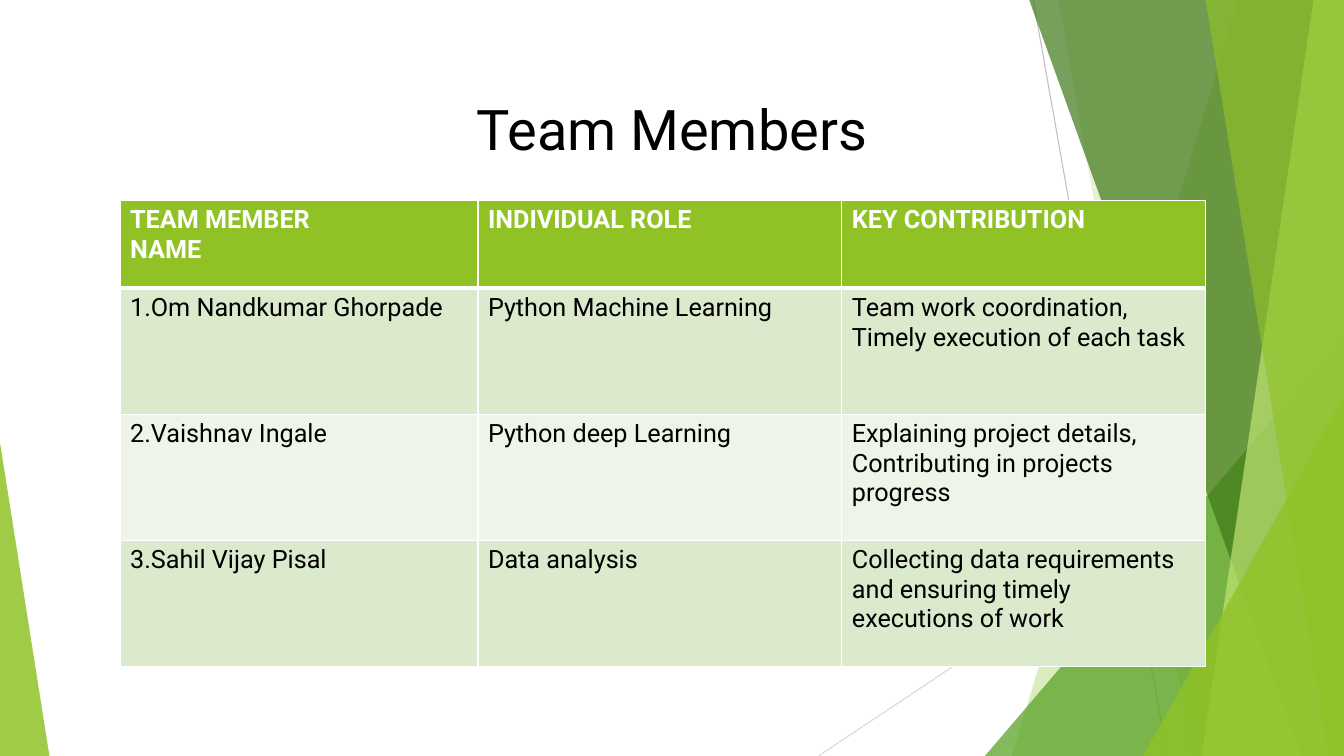
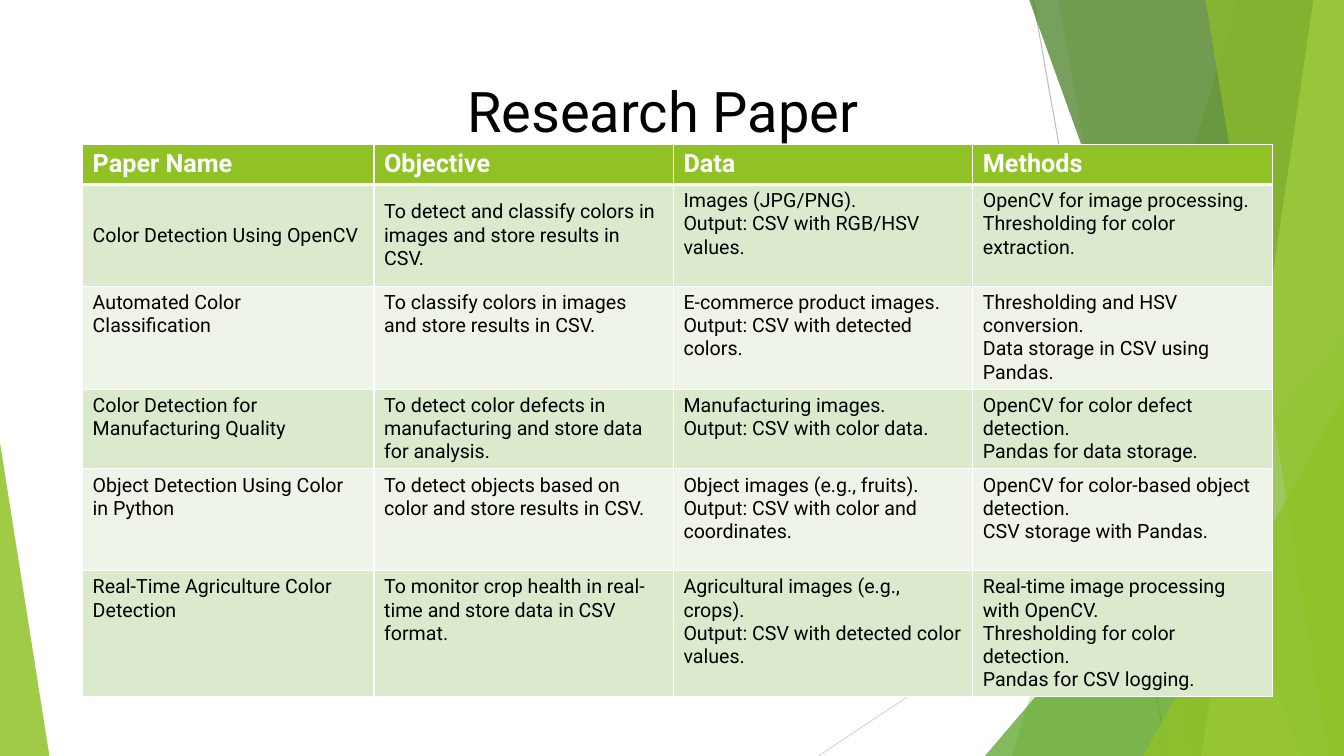
"""Builds two table slides on a shared backdrop of green facets."""
from lxml.etree import SubElement
from pptx import Presentation
from pptx.dml.color import RGBColor
from pptx.enum.shapes import MSO_CONNECTOR, MSO_SHAPE
from pptx.enum.text import MSO_ANCHOR, MSO_AUTO_SIZE, PP_ALIGN
from pptx.oxml.ns import qn
from pptx.util import Inches, Pt

FONT = "Roboto"
WHITE, BLACK = "FFFFFF", "000000"
LIME, GREEN, FOREST, PALE = "90C226", "54A021", "3F7819", "C0E474"
BANDS = ("EEF4E8", "DBE9CD")


def color(code):
    """Turn a hex string into a colour."""
    return RGBColor.from_string(code)


class Deck:
    """Holds the style and the current slide; lengths are percent of the slide."""

    def __init__(self):
        """Set the slide size and strip the layout down to its title."""
        self.presentation = Presentation()
        self.presentation.slide_width = Inches(13.33)
        self.presentation.slide_height = Inches(7.5)
        self.layout = self.presentation.slide_layouts[5]
        for placeholder in list(self.layout.placeholders):
            if placeholder.placeholder_format.idx:
                placeholder.element.getparent().remove(placeholder.element)
        self.slide = None

    def x(self, share):
        """Convert a share of the width."""
        return round(self.presentation.slide_width * share / 100)

    def y(self, share):
        """Convert a share of the height."""
        return round(self.presentation.slide_height * share / 100)

    def open_slide(self, title, left, top, width):
        """Add a slide with a centred title."""
        first = self.slide is None
        self.slide = self.presentation.slides.add_slide(self.layout)
        if first:
            self.backdrop()
        heading = self.slide.shapes.title
        heading.left, heading.top = self.x(left), self.y(top)
        heading.width, heading.height = self.x(width), self.y(10.27)
        frame = heading.text_frame
        frame.word_wrap = True
        frame.auto_size = MSO_AUTO_SIZE.NONE
        frame.vertical_anchor = MSO_ANCHOR.TOP
        frame.paragraphs[0].alignment = PP_ALIGN.CENTER
        self.run(frame.paragraphs[0], title, 40, BLACK)

    def backdrop(self):
        """Draw the facets and move them to the layout."""
        self.hairline((76.88, 0), (86.85, 100), "BFBFBF")
        self.hairline((100, 53.73), (60.9, 100), "D9D9D9")
        self.facet(92.1, 75.3, LIME, 30)
        self.facet(78.75, 88.73, LIME, 20)
        self.corner(73.28, 44.4, 26.72, 1, GREEN, 72)
        self.facet(76.58, 96.83, FOREST, 70)
        self.facet(97.73, 89.4, PALE, 70)
        self.facet(89.7, 98.85, LIME, 65)
        self.corner(85.05, 52.4, 14.95, 1, LIME, 80)
        self.corner(0, 58.53, 3.68, 0, LIME, 85)
        for shape in list(self.slide.shapes):
            if not shape.is_placeholder:
                self.layout.shapes.element.append(shape.element)

    def hairline(self, start, end, code):
        """Draw a thin straight line."""
        line = self.slide.shapes.add_connector(
            MSO_CONNECTOR.STRAIGHT, self.x(start[0]), self.y(start[1]),
            self.x(end[0]), self.y(end[1]))
        line.line.color.rgb = color(code)
        line.line.width = Pt(0.75)
        SubElement(line.element.spPr, qn("a:effectLst"))

    def facet(self, upper, lower, code, opacity):
        """Fill from a slanted edge to the right side of the slide."""
        outline = self.slide.shapes.build_freeform(self.x(upper), 0)
        outline.add_line_segments(
            [(self.x(100), 0), (self.x(100), self.y(100)),
             (self.x(lower), self.y(100))])
        self.tint(outline.convert_to_shape(), code, opacity)

    def corner(self, left, top, width, apex, code, opacity):
        """Draw a triangle standing on the bottom edge."""
        triangle = self.slide.shapes.add_shape(
            MSO_SHAPE.ISOSCELES_TRIANGLE, self.x(left), self.y(top),
            self.x(width), self.y(100 - top))
        triangle.adjustments[0] = apex
        self.tint(triangle, code, opacity)

    def tint(self, shape, code, opacity):
        """Give a shape a translucent fill without line or shadow."""
        shape.shadow.inherit = False
        shape.line.fill.background()
        shape.fill.solid()
        shape.fill.fore_color.rgb = color(code)
        tone = shape.element.spPr.find(".//" + qn("a:srgbClr"))
        SubElement(tone, qn("a:alpha"), val=str(opacity * 1000))

    def run(self, paragraph, text, size, code, bold=False):
        """Add one formatted run."""
        run = paragraph.add_run()
        run.text = text
        run.font.name = FONT
        run.font.size = Pt(size)
        run.font.bold = bold
        run.font.color.rgb = color(code)

    def table(self, left, top, columns, heights, rows, size, middle=()):
        """Add a banded table with a header row."""
        table = self.slide.shapes.add_table(
            len(rows), len(columns), self.x(left), self.y(top),
            self.x(sum(columns)), self.y(sum(heights))).table
        table.horz_banding = False
        for column, width in zip(table.columns, columns):
            column.width = self.x(width)
        for row, height in zip(table.rows, heights):
            row.height = self.y(height)
        for r, texts in enumerate(rows):
            for c, text in enumerate(texts):
                cell = table.cell(r, c)
                if (r, c) in middle:
                    cell.vertical_anchor = MSO_ANCHOR.MIDDLE
                self.borders(cell, r)
                cell.fill.solid()
                cell.fill.fore_color.rgb = color(BANDS[r % 2] if r else LIME)
                self.cell_text(cell.text_frame, text, size, r == 0)

    def cell_text(self, frame, text, size, header):
        """Write each line of a cell as a paragraph."""
        for i, line in enumerate(text.split("\n")):
            paragraph = frame.add_paragraph() if i else frame.paragraphs[0]
            if header:
                self.run(paragraph, line, 18, WHITE, True)
            else:
                self.run(paragraph, line, size, BLACK)

    def borders(self, cell, row):
        """Draw white cell borders, thicker below the header."""
        properties = cell._tc.get_or_add_tcPr()
        thick = {0: "B", 1: "T"}.get(row)
        for side in "LRTB":
            width = Pt(3 if side == thick else 1)
            edge = SubElement(properties, qn("a:ln" + side), w=str(width))
            fill = SubElement(edge, qn("a:solidFill"))
            SubElement(fill, qn("a:srgbClr"), val=WHITE)


TEAM = [
    ("TEAM MEMBER\nNAME", "INDIVIDUAL ROLE", "KEY CONTRIBUTION"),
    ("1.Om Nandkumar Ghorpade", "Python Machine Learning",
     "Team work coordination,\nTimely execution of each task"),
    ("2.Vaishnav Ingale", "Python deep Learning",
     "Explaining project details,\nContributing in projects progress"),
    ("3.Sahil Vijay Pisal", "Data analysis",
     "Collecting data requirements and ensuring timely executions of work"),
]

PAPERS = [
    ("Paper Name", "Objective", "Data", "Methods"),
    ("Color Detection Using OpenCV",
     "To detect and classify colors in images and store results in CSV.",
     "Images (JPG/PNG).\nOutput: CSV with RGB/HSV values.",
     "OpenCV for image processing.\nThresholding for color extraction."),
    ("Automated Color Classification",
     "To classify colors in images and store results in CSV.",
     "E-commerce product images.\nOutput: CSV with detected colors.",
     "Thresholding and HSV conversion.\nData storage in CSV using Pandas."),
    ("Color Detection for Manufacturing Quality",
     "To detect color defects in manufacturing and store data for analysis.",
     "Manufacturing images.\nOutput: CSV with color data.",
     "OpenCV for color defect detection.\nPandas for data storage."),
    ("Object Detection Using Color in Python",
     "To detect objects based on color and store results in CSV.",
     "Object images (e.g., fruits).\nOutput: CSV with color and coordinates.",
     "OpenCV for color-based object detection.\nCSV storage with Pandas."),
    ("Real-Time Agriculture Color Detection",
     "To monitor crop health in real-time and store data in CSV format.",
     "Agricultural images (e.g., crops).\n"
     "Output: CSV with detected color values.",
     "Real-time image processing with OpenCV.\n"
     "Thresholding for color detection.\nPandas for CSV logging."),
]


def main():
    """Build and save the slides."""
    deck = Deck()
    deck.open_slide("Team Members", 5.85, 11.87, 88.28)
    deck.table(8.93, 26.53, [26.63] + [27.08] * 2, [11.6] + [16.67] * 3,
               TEAM, 18)
    deck.open_slide("Research Paper", 5.48, 9.47, 87.68)
    centred = [(0, c) for c in range(4)] + [(1, 0), (1, 1)]
    deck.table(6.15, 19.07, [21.68] + [22.28] * 3,
               [5.33, 13.47, 13.47, 10.4, 13.47, 16.53], PAPERS, 14, centred)
    deck.presentation.save("out.pptx")


if __name__ == "__main__":
    main()
